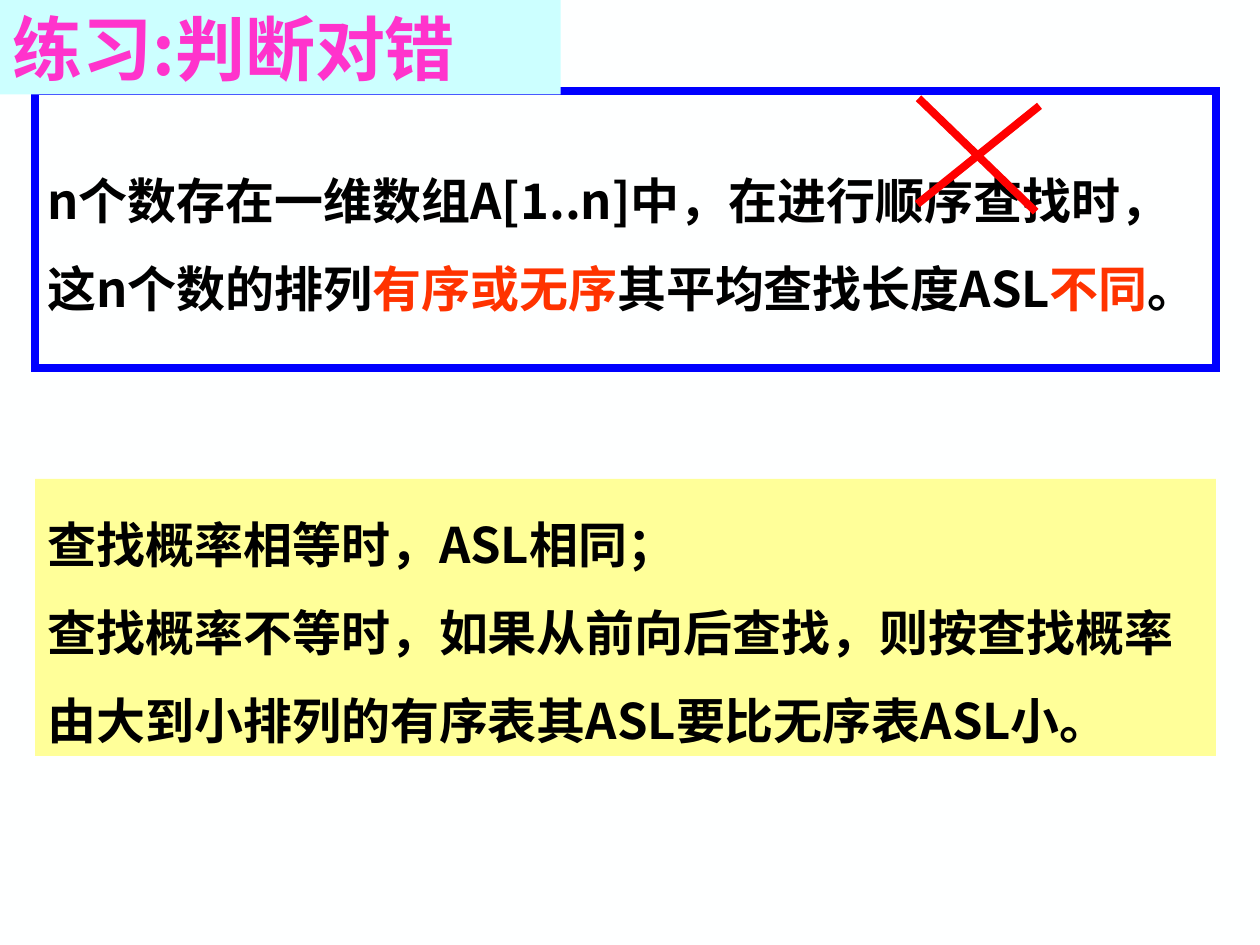
from lxml import etree
from pptx import Presentation
from pptx.dml.color import RGBColor
from pptx.enum.shapes import MSO_CONNECTOR, MSO_SHAPE
from pptx.enum.text import MSO_ANCHOR, MSO_AUTO_SIZE, PP_ALIGN
from pptx.oxml.ns import qn
from pptx.util import Inches, Pt

FONT = "Noto Sans CJK SC"
COLORS = {
    "background": "FEFFFF",
    "title_fill": "CCFFFF",
    "title_text": "FF33CC",
    "frame": "0000FF",
    "answer_fill": "FFFF99",
    "text": "000000",
    "emphasis": "FF3300",
    "cross": "FF0000",
}


def color(name):
    return RGBColor.from_string(COLORS[name])


def fill_solid(shape, name):
    shape.fill.solid()
    shape.fill.fore_color.rgb = color(name)


def write_text(shape, paragraphs, size, line_spacing, auto_size):
    """Each paragraph is a list of (text, color name) pairs."""
    frame = shape.text_frame
    frame.word_wrap = True
    frame.auto_size = auto_size
    frame.vertical_anchor = MSO_ANCHOR.MIDDLE
    for index, parts in enumerate(paragraphs):
        paragraph = frame.add_paragraph() if index else frame.paragraphs[0]
        paragraph.alignment = PP_ALIGN.LEFT
        paragraph.line_spacing = line_spacing
        # Keep punctuation inside the right margin
        paragraph._p.get_or_add_pPr().set("hangingPunct", "0")
        font = paragraph.font
        font.name, font.size, font.bold = FONT, Pt(size), True
        # East Asian characters take their own typeface entry
        latin = font._element.find(qn("a:latin"))
        east_asian = etree.Element(qn("a:ea"), typeface=FONT)
        latin.addnext(east_asian)
        for text, name in parts:
            run = paragraph.add_run()
            run.text = text
            run.font.color.rgb = color(name)


def add_title(slide, left, top, width, height):
    title = slide.shapes.title
    title.left, title.top, title.width, title.height = left, top, width, height
    fill_solid(title, "title_fill")
    write_text(title, [[("练习:判断对错", "title_text")]], 40, 1.0, MSO_AUTO_SIZE.NONE)
    # Bring the title in front of the question frame
    title._element.getparent().append(title._element)


def add_text_panel(slide, left, top, width, height, paragraphs):
    panel = slide.shapes.add_shape(MSO_SHAPE.RECTANGLE, left, top, width, height)
    panel.shadow.inherit = False
    panel.fill.background()
    panel.line.fill.background()
    write_text(panel, paragraphs, 28, 1.5, MSO_AUTO_SIZE.SHAPE_TO_FIT_TEXT)
    return panel


def add_question(slide, left, top, width, height):
    panel = add_text_panel(slide, left, top, width, height, [[
        ("n个数存在一维数组A[1..n]中，在进行顺序查找时，这n个数的排列", "text"),
        ("有序或无序", "emphasis"),
        ("其平均查找长度ASL", "text"),
        ("不同", "emphasis"),
        ("。", "text"),
    ]])
    panel.line.color.rgb = color("frame")
    panel.line.width = Pt(4.5)
    # Square corners
    etree.SubElement(panel.line._get_or_add_ln(), qn("a:miter"), lim="800000")


def add_answer(slide, left, top, width, height):
    panel = add_text_panel(slide, left, top, width, height, [
        [("查找概率相等时，ASL相同；", "text")],
        [("查找概率不等时，如果从前向后查找，则按查找概率"
          "由大到小排列的有序表其ASL要比无序表ASL小。", "text")],
    ])
    fill_solid(panel, "answer_fill")


def add_cross(slide, left, top):
    """Wrong mark: two slightly uneven strokes, as offsets from its corner."""
    group = slide.shapes.add_group_shape()
    strokes = [(0.01, 0, 0.94, 0.9), (0.97, 0.06, 0, 0.84)]
    for begin_x, begin_y, end_x, end_y in strokes:
        stroke = group.shapes.add_connector(
            MSO_CONNECTOR.STRAIGHT,
            left + Inches(begin_x), top + Inches(begin_y),
            left + Inches(end_x), top + Inches(end_y))
        stroke.line.color.rgb = color("cross")
        stroke.line.width = Pt(4.5)
        etree.SubElement(stroke._element.spPr, qn("a:effectLst"))


def main():
    presentation = Presentation()
    presentation.slide_width, presentation.slide_height = Inches(10), Inches(7.5)
    slide = presentation.slides.add_slide(presentation.slide_layouts[5])
    slide.background.fill.solid()
    slide.background.fill.fore_color.rgb = color("background")

    panel_left, panel_width, panel_height = Inches(0.28), Inches(9.37), Inches(2.2)
    add_question(slide, panel_left, Inches(0.72), panel_width, panel_height)
    add_title(slide, Inches(0), Inches(0), Inches(4.45), Inches(0.75))
    add_answer(slide, panel_left, Inches(3.8), panel_width, panel_height)
    add_cross(slide, Inches(7.28), Inches(0.78))
    presentation.save("out.pptx")


if __name__ == "__main__":
    main()
